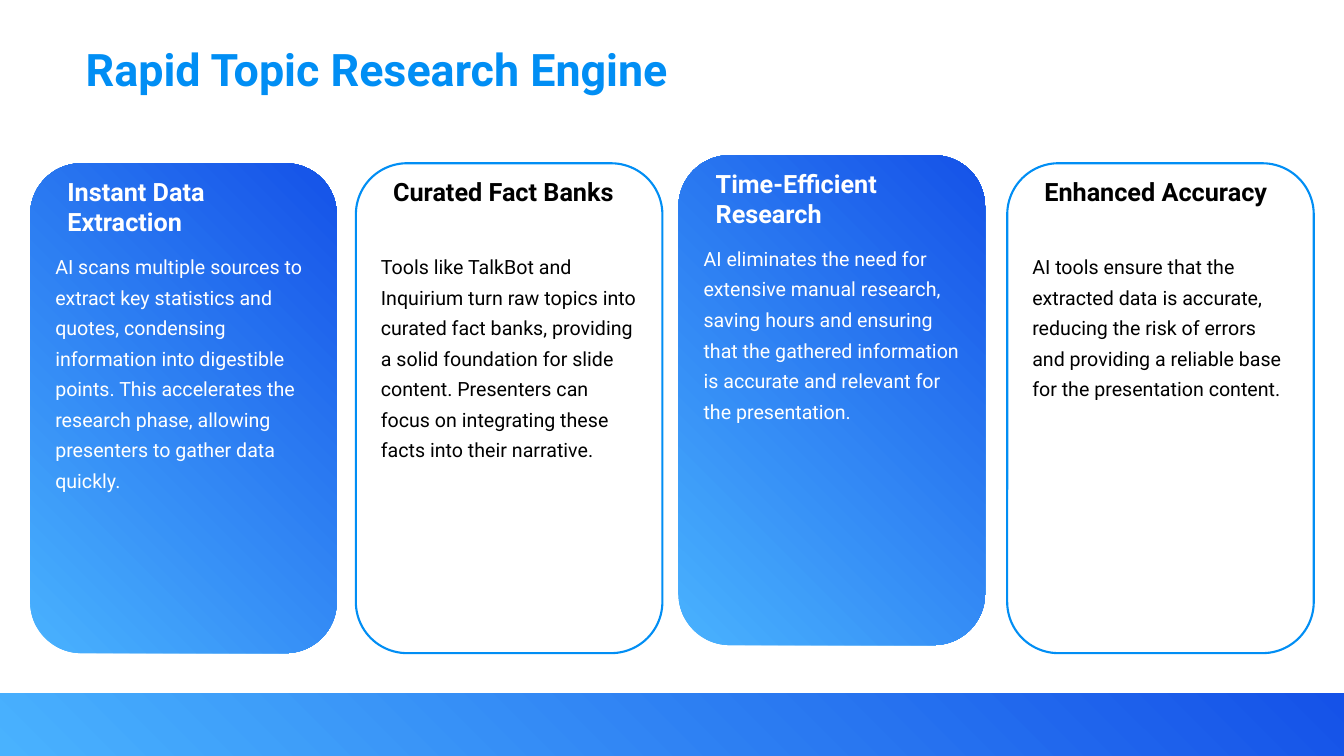
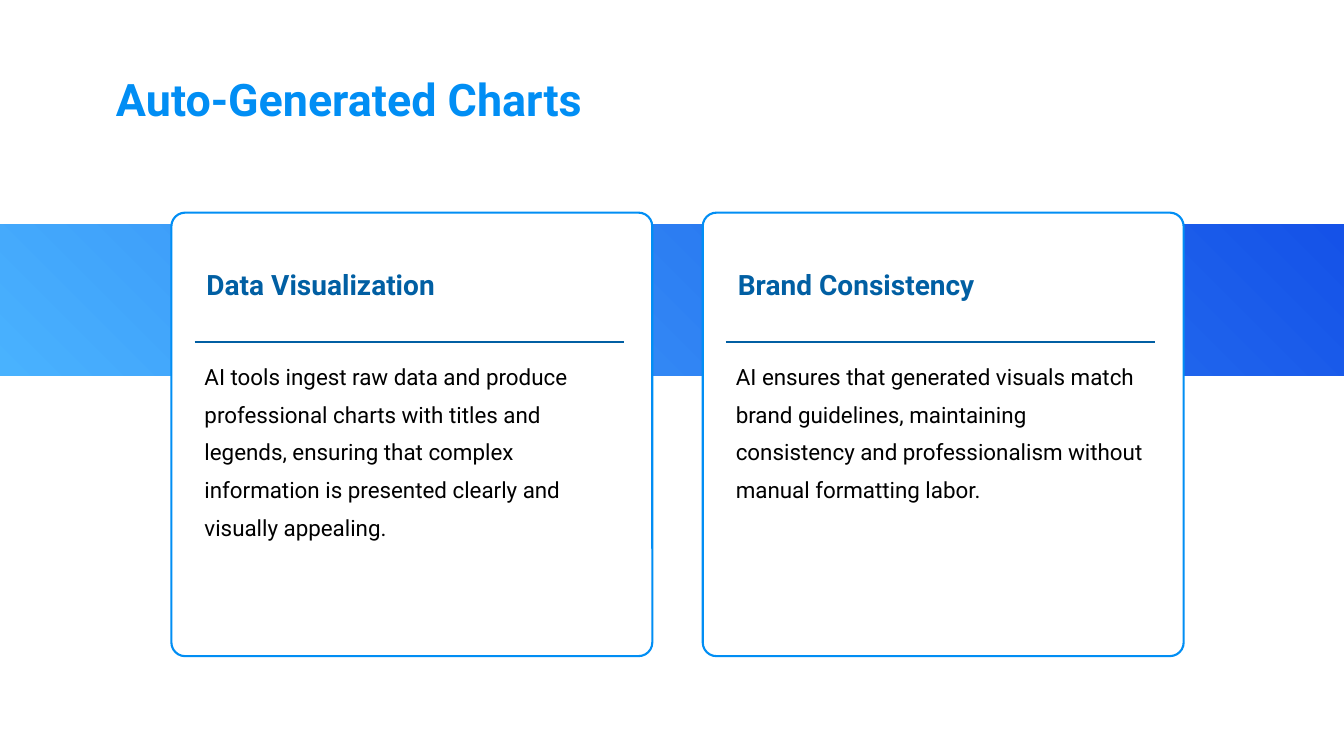
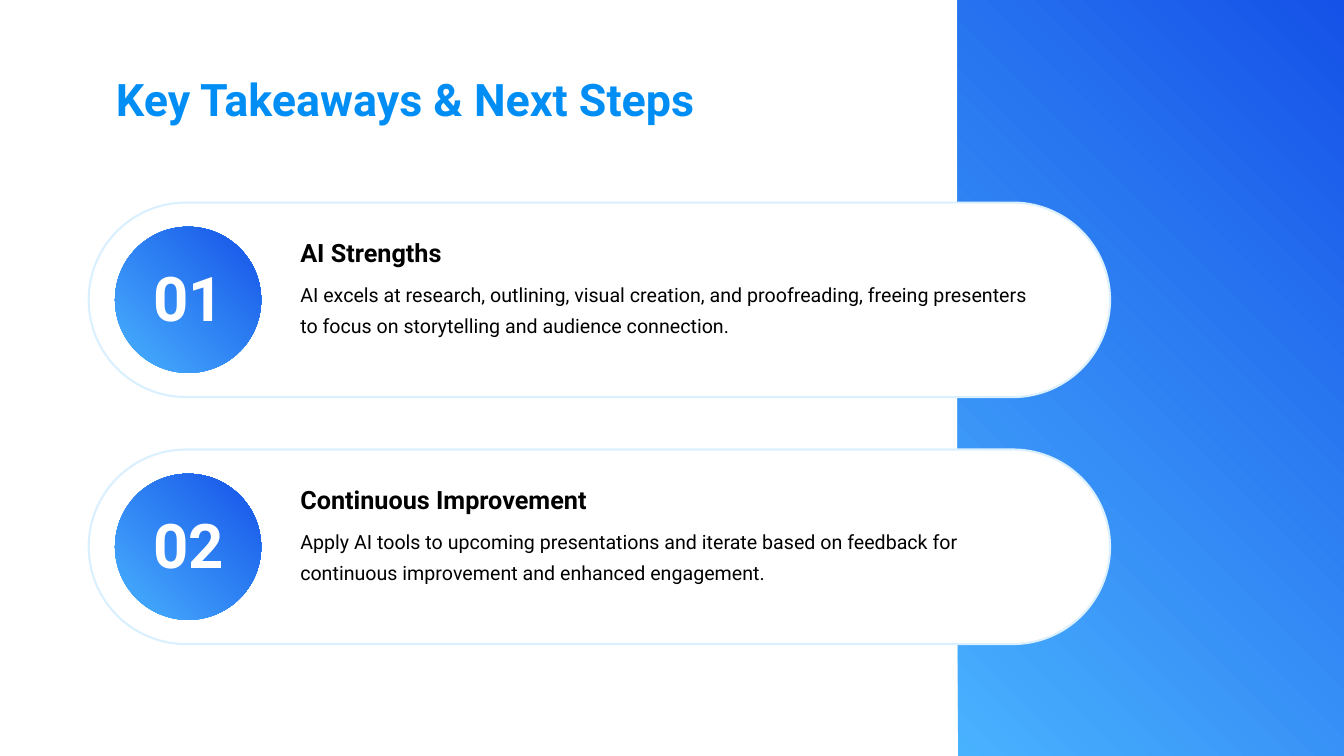
from lxml import etree
from pptx import Presentation
from pptx.dml.color import RGBColor
from pptx.enum.shapes import MSO_CONNECTOR, MSO_SHAPE
from pptx.enum.text import MSO_ANCHOR, MSO_AUTO_SIZE, PP_ALIGN
from pptx.oxml.ns import qn
from pptx.util import Inches, Pt

RECTANGLE = MSO_SHAPE.RECTANGLE
ROUNDED = MSO_SHAPE.ROUNDED_RECTANGLE
OVAL = MSO_SHAPE.OVAL
STRAIGHT = MSO_CONNECTOR.STRAIGHT
TOP = MSO_ANCHOR.TOP
NO_AUTOFIT = MSO_AUTO_SIZE.NONE
LEFT, CENTER, JUSTIFY = PP_ALIGN.LEFT, PP_ALIGN.CENTER, PP_ALIGN.JUSTIFY

FONT = "Roboto"
WHITE = RGBColor(0xFF, 0xFF, 0xFF)
BLACK = RGBColor(0x00, 0x00, 0x00)
BLUE = RGBColor(0x01, 0x8E, 0xF4)
DEEP_BLUE = RGBColor(0x01, 0x5F, 0xA3)
PALE_BLUE = RGBColor(0xDB, 0xF0, 0xFF)
GRADIENT = RGBColor(0x49, 0xB2, 0xFE), RGBColor(0x15, 0x52, 0xE8)
WIDTH, HEIGHT = 13.33, 7.5


def write(shape, text, size, color, bold=False, spacing=1.0, align=LEFT):
    frame = shape.text_frame
    frame.word_wrap = True
    frame.auto_size = NO_AUTOFIT
    frame.vertical_anchor = TOP
    paragraph = frame.paragraphs[0]
    paragraph.alignment = align
    paragraph.line_spacing = spacing
    run = paragraph.add_run()
    run.text = text
    run.font.name = FONT
    run.font.size = Pt(size)
    run.font.bold = bold
    run.font.color.rgb = color


def add_panel(slide, kind, box, outline=None, radius=None):
    shape = slide.shapes.add_shape(kind, *map(Inches, box))
    shape.shadow.inherit = False
    if radius is not None:
        shape.adjustments[0] = radius
    if outline is None:
        shape.fill.gradient()
        shape.fill.gradient_angle = 45
        for stop, color in zip(shape.fill.gradient_stops, GRADIENT):
            stop.color.rgb = color
        shape.line.fill.background()
    else:
        shape.fill.solid()
        shape.fill.fore_color.rgb = WHITE
        shape.line.color.rgb = outline
        shape.line.width = Pt(1.5)


presentation = Presentation()
presentation.slide_width = Inches(WIDTH)
presentation.slide_height = Inches(HEIGHT)

slides = []
for title, left, top, band in (
    ("Rapid Topic Research Engine", 0.75, 0.36, (0, 6.88, WIDTH, 0.62)),
    ("Auto-Generated Charts", 1.05, 0.66, (0, 2.23, WIDTH, HEIGHT / 5)),
    ("Key Takeaways & Next Steps", 1.05, 0.66, (9.5, 0, WIDTH - 9.5, HEIGHT)),
):
    slide = presentation.slides.add_slide(presentation.slide_layouts[5])
    shape = slide.shapes.title
    shape.left, shape.top = Inches(left), Inches(top)
    shape.width, shape.height = Inches(10.72), Inches(0.55)
    write(shape, title, 32, BLUE, bold=True)
    add_panel(slide, RECTANGLE, band)
    slides.append(slide)
research, charts, takeaways = slides

for left, top, outline, color, heading, body in (
    (0.3, 1.62, None, WHITE, "Instant Data Extraction",
     "AI scans multiple sources to extract key statistics and quotes, condensing "
     "information into digestible points. This accelerates the research phase, "
     "allowing presenters to gather data quickly."),
    (3.53, 1.62, BLUE, BLACK, "Curated Fact Banks",
     "Tools like TalkBot and Inquirium turn raw topics into curated fact banks, "
     "providing a solid foundation for slide content. Presenters can focus on "
     "integrating these facts into their narrative."),
    (6.73, 1.54, None, WHITE, "Time-Efficient Research",
     "AI eliminates the need for extensive manual research, saving hours and "
     "ensuring that the gathered information is accurate and relevant for the "
     "presentation."),
    (9.99, 1.62, BLUE, BLACK, "Enhanced Accuracy",
     "AI tools ensure that the extracted data is accurate, reducing the risk of "
     "errors and providing a reliable base for the presentation content."),
):
    add_panel(research, ROUNDED, (left, top, 3.04, 4.86), outline, 0.167)
    heading_box = research.shapes.add_textbox(
        Inches(left + 0.27), Inches(top + 0.08), Inches(2.49), Inches(0.65))
    write(heading_box, heading, 18, color, bold=True)
    body_box = research.shapes.add_textbox(
        Inches(left + 0.15), Inches(top + 0.79), Inches(2.74), Inches(2.5))
    write(body_box, body, 14, color, spacing=1.3)

for column, (heading, body) in enumerate((
    ("Data Visualization",
     "AI tools ingest raw data and produce professional charts with titles and "
     "legends, ensuring that complex information is presented clearly and "
     "visually appealing."),
    ("Brand Consistency",
     "AI ensures that generated visuals match brand guidelines, maintaining "
     "consistency and professionalism without manual formatting labor."),
)):
    left = 1.7 + column * 5.27
    add_panel(charts, ROUNDED, (left, 2.11, 4.77, 4.4), BLUE, 0.031)
    rule = charts.shapes.add_connector(
        STRAIGHT, Inches(left + 0.23), Inches(3.39), Inches(left + 4.49), Inches(3.39))
    rule.line.color.rgb = DEEP_BLUE
    rule.line.width = Pt(1.5)
    etree.SubElement(rule._element.spPr, qn("a:effectLst"))
    heading_box = charts.shapes.add_textbox(
        Inches(left + 0.25), Inches(2.6), Inches(4.26), Inches(0.34))
    write(heading_box, heading, 20, DEEP_BLUE, bold=True, align=JUSTIFY)
    body_box = charts.shapes.add_textbox(
        Inches(left + 0.23), Inches(3.45), Inches(4.26), Inches(1.87))
    write(body_box, body, 16, BLACK, spacing=1.4)

for row, (heading, body) in enumerate((
    ("AI Strengths",
     "AI excels at research, outlining, visual creation, and proofreading, freeing "
     "presenters to focus on storytelling and audience connection."),
    ("Continuous Improvement",
     "Apply AI tools to upcoming presentations and iterate based on feedback for "
     "continuous improvement and enhanced engagement."),
)):
    top = 2.01 + row * 2.45
    add_panel(takeaways, ROUNDED, (0.88, top, 10.13, 1.93), PALE_BLUE, 0.5)
    add_panel(takeaways, OVAL, (1.14, top + 0.24, 1.45, 1.45))
    number_box = takeaways.shapes.add_textbox(
        Inches(1.34), Inches(top + 0.52), Inches(1.06), Inches(0.75))
    write(number_box, f"{row + 1:02}", 44, WHITE, bold=True, align=CENTER)
    heading_box = takeaways.shapes.add_textbox(
        Inches(2.88), Inches(top + 0.3), Inches(7.41), Inches(0.31))
    write(heading_box, heading, 18, BLACK, bold=True)
    body_box = takeaways.shapes.add_textbox(
        Inches(2.88), Inches(top + 0.68), Inches(7.41), Inches(0.63))
    write(body_box, body, 14, BLACK, spacing=1.3)

presentation.save("out.pptx")
